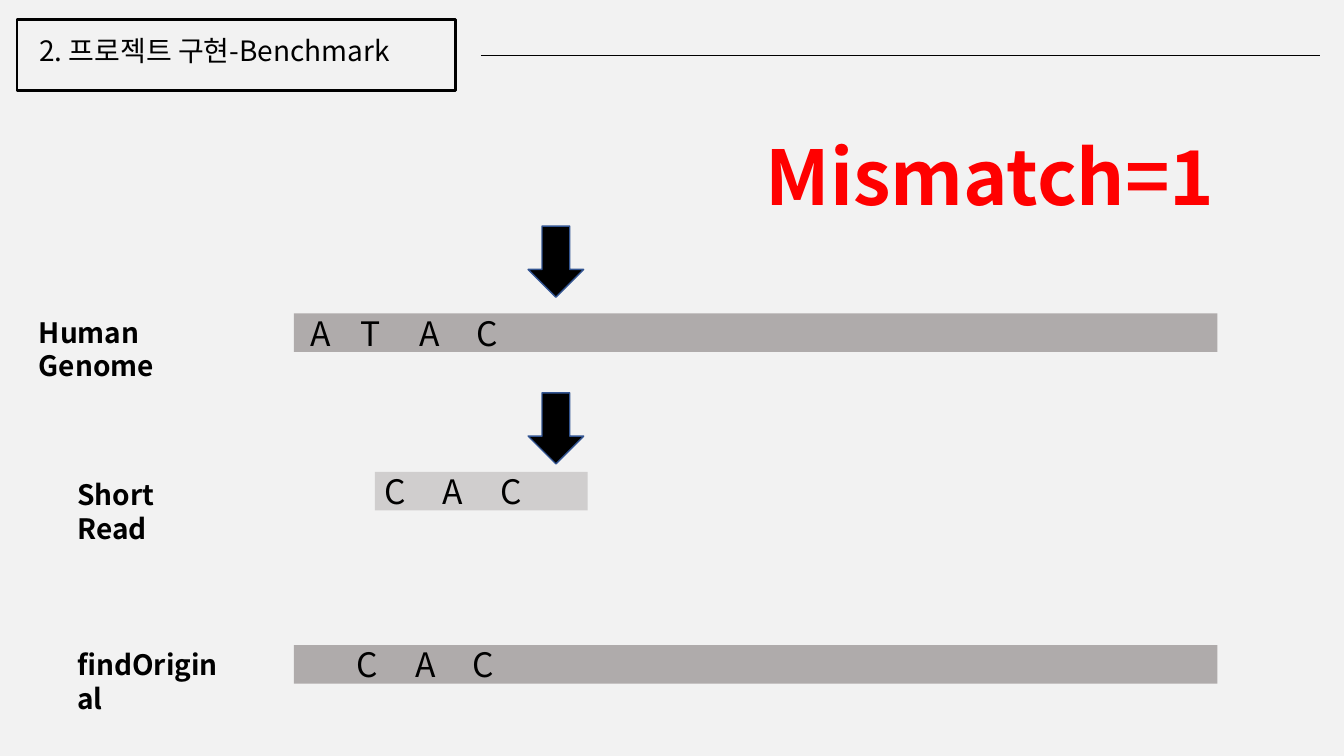
"""Build the benchmark slide that compares a genome, a short read and the mismatch count."""
from lxml.etree import SubElement
from pptx import Presentation
from pptx.dml.color import RGBColor
from pptx.enum.shapes import MSO_CONNECTOR, MSO_SHAPE
from pptx.enum.text import MSO_ANCHOR, PP_ALIGN
from pptx.oxml.ns import qn
from pptx.util import Cm, Pt

THEME = {
    "font": "Noto Sans CJK KR",
    "background": RGBColor(0xF2, 0xF2, 0xF2),
    "ink": RGBColor(0, 0, 0),
    "alert": RGBColor(0xFF, 0, 0),
    "arrow_edge": RGBColor(0x32, 0x54, 0x91),
    "genome": RGBColor(0xAF, 0xAB, 0xAB),
    "read": RGBColor(0xD0, 0xCE, 0xCE),
    "label": Pt(20),
    "base": Pt(24),
    "headline": Pt(54),
}
LETTER_STEP = 1.47


def write(frame, text, size, color="ink", bold=False, anchor=MSO_ANCHOR.TOP):
    """Fill a text frame with one formatted line and return its paragraph."""
    frame.word_wrap = True
    frame.vertical_anchor = anchor
    paragraph = frame.paragraphs[0]
    paragraph.alignment = PP_ALIGN.LEFT
    paragraph.line_spacing = 1.0
    run = paragraph.add_run()
    run.text = text
    formats = {"name": THEME["font"], "size": THEME[size], "bold": bold}
    for name, value in formats.items():
        setattr(run.font, name, value)
    run.font.color.rgb = THEME[color]
    SubElement(run.font._element, qn("a:ea"), typeface=THEME["font"])
    return paragraph


def add_block(kind, left, top, width, height, fill=None, edge=None, weight=1):
    """Add a flat preset shape with optional fill and outline."""
    block = slide.shapes.add_shape(kind, Cm(left), Cm(top), Cm(width), Cm(height))
    block.shadow.inherit = False
    for part, color in ((block.fill, fill), (block.line.fill, edge)):
        if color:
            part.solid()
            part.fore_color.rgb = THEME[color]
        else:
            part.background()
    if edge:
        block.line.width = Pt(weight)
    return block


deck = Presentation()
deck.slide_width, deck.slide_height = Cm(33.87), Cm(19.05)
slide = deck.slides.add_slide(deck.slide_layouts[5])
slide.background.fill.solid()
slide.background.fill.fore_color.rgb = THEME["background"]

title = slide.shapes.title
title_place = {"left": 0.73, "top": 0.71, "width": 10.5, "height": 1.11}
for name, value in title_place.items():
    setattr(title, name, Cm(value))
write(title.text_frame, "2. 프로젝트 구현-Benchmark", "label")
add_block(MSO_SHAPE.RECTANGLE, 0.43, 0.5, 11.05, 1.78, edge="ink", weight=2)

rule = slide.shapes.add_connector(
    MSO_CONNECTOR.STRAIGHT, Cm(12.12), Cm(1.39), Cm(33.27), Cm(1.39))
rule.line.width = Pt(0.5)
rule.line.color.rgb = THEME["ink"]
SubElement(rule._element.spPr, qn("a:effectLst"))

for arrow_top in (5.7, 9.9):
    add_block(MSO_SHAPE.DOWN_ARROW, 13.31, arrow_top, 1.4, 1.79,
              fill="ink", edge="arrow_edge")

sequences = [
    ("ATAC", 7.41, 7.9, 23.27, "genome", [0.68] + [1.94 + LETTER_STEP * i for i in range(3)]),
    ("CAC", 9.45, 11.89, 5.36, "read", [0.5 + LETTER_STEP * i for i in range(3)]),
    ("CAC", 7.41, 16.26, 23.27, "genome", [1.84 + LETTER_STEP * i for i in range(3)]),
]
for bases, left, top, width, fill, centers in sequences:
    bar = add_block(MSO_SHAPE.RECTANGLE, left, top, width, 0.97, fill=fill)
    bar.text_frame.margin_left = bar.text_frame.margin_right = 0
    letters = write(bar.text_frame, "".join("\t" + base for base in bases), "base",
                    anchor=MSO_ANCHOR.MIDDLE)
    tabs = SubElement(letters._p.get_or_add_pPr(), qn("a:tabLst"))
    for center in centers:
        SubElement(tabs, qn("a:tab"), pos=str(Cm(center)), algn="ctr")

captions = [
    ("Human Genome", 0.73, 7.82, 6.1, 1.11, "label", "ink"),
    ("Short Read", 1.7, 11.91, 4.27, 1.11, "label", "ink"),
    ("findOriginal", 1.7, 16.19, 4.42, 1.11, "label", "ink"),
    ("Mismatch=1", 19.05, 3.15, 11.99, 2.57, "headline", "alert"),
]
for text, left, top, width, height, size, color in captions:
    caption = slide.shapes.add_textbox(Cm(left), Cm(top), Cm(width), Cm(height))
    write(caption.text_frame, text, size, color, bold=True)

deck.save("out.pptx")
